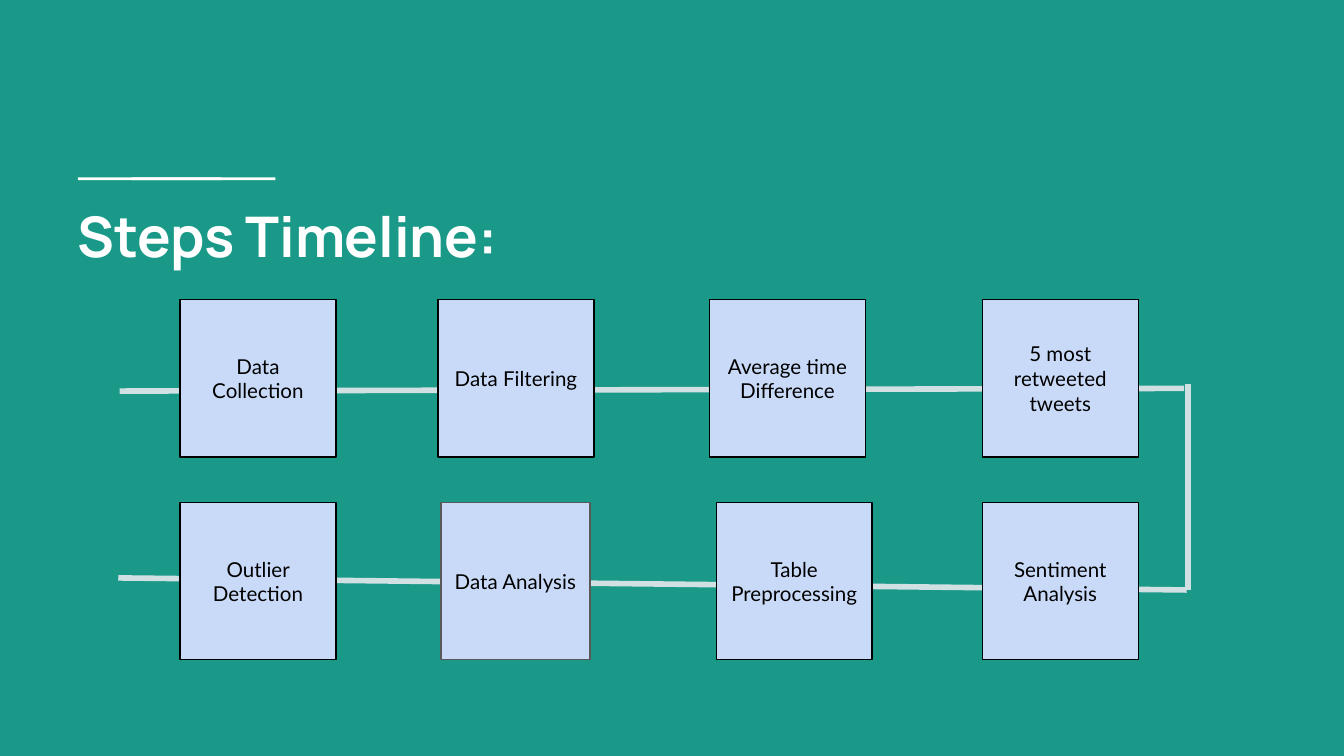
"""Build the Steps Timeline slide."""
from lxml import etree
from pptx import Presentation
from pptx.dml.color import RGBColor
from pptx.enum.shapes import MSO_CONNECTOR, MSO_SHAPE
from pptx.enum.text import MSO_ANCHOR, PP_ALIGN
from pptx.oxml.ns import qn
from pptx.util import Inches, Pt

RECTANGLE = MSO_SHAPE.RECTANGLE
STRAIGHT = MSO_CONNECTOR.STRAIGHT
TOP, MIDDLE = MSO_ANCHOR.TOP, MSO_ANCHOR.MIDDLE
LEFT, CENTER = PP_ALIGN.LEFT, PP_ALIGN.CENTER


def color(value):
    return RGBColor.from_string(value)


def add_line(x1, y1, x2, y2):
    line = slide.shapes.add_connector(
        STRAIGHT, Inches(x1), Inches(y1), Inches(x2), Inches(y2))
    line.line.color.rgb = color("D0E0E3")
    line.line.width = Pt(3)
    etree.SubElement(line._element.spPr, qn("a:effectLst"))


presentation = Presentation()
presentation.slide_width = Inches(10)
presentation.slide_height = Inches(10 * 9 / 16)
slide = presentation.slides.add_slide(presentation.slide_layouts[5])
slide.background.fill.solid()
slide.background.fill.fore_color.rgb = color("1A9988")

for left in (0.98, 0.58):
    bar = slide.shapes.add_shape(
        RECTANGLE, Inches(left), Inches(1.32), Inches(1.07), Inches(0.02))
    bar.shadow.inherit = False
    bar.fill.solid()
    bar.fill.fore_color.rgb = color("FFFFFF")
    bar.line.fill.background()

add_line(0.88, 4.3, 8.83, 4.39)
add_line(0.89, 2.91, 8.81, 2.89)

title = slide.shapes.title
title.left, title.top = Inches(0.48), Inches(1.4)
title.width, title.height = Inches(8.32), Inches(0.66)
title.text_frame.text = "Steps Timeline:"
title.text_frame.vertical_anchor = TOP
title.text_frame.margin_left = title.text_frame.margin_right = Inches(0.1)
title.text_frame.margin_top = title.text_frame.margin_bottom = Inches(0.1)
paragraph = title.text_frame.paragraphs[0]
paragraph.alignment = LEFT
paragraph.font.name = "Manrope"
paragraph.font.size = Pt(30)
paragraph.font.bold = True
paragraph.font.color.rgb = color("FFFFFF")

rows = [
    (2.23, [
        ("Data Collection", 1.34, 1.16, "000000"),
        ("Data Filtering", 3.26, 1.16, "000000"),
        ("Average time Difference", 5.28, 1.16, "000000"),
        ("5 most retweeted tweets", 7.31, 1.16, "000000"),
    ]),
    (3.74, [
        ("Outlier Detection", 1.34, 1.16, "000000"),
        ("Data Analysis", 3.28, 1.11, "595959"),
        ("Table Preprocessing", 5.33, 1.16, "000000"),
        ("Sentiment Analysis", 7.31, 1.16, "000000"),
    ]),
]
for top, steps in rows:
    for label, left, width, outline in steps:
        step = slide.shapes.add_shape(
            RECTANGLE, Inches(left), Inches(top), Inches(width), Inches(1.17))
        step.shadow.inherit = False
        step.fill.solid()
        step.fill.fore_color.rgb = color("C9DAF8")
        step.line.color.rgb = color(outline)
        step.line.width = Pt(0.75)
        frame = step.text_frame
        frame.text = label
        frame.word_wrap = True
        frame.vertical_anchor = MIDDLE
        frame.margin_left = frame.margin_right = Inches(0.1)
        frame.margin_top = frame.margin_bottom = Inches(0.1)
        paragraph = frame.paragraphs[0]
        paragraph.alignment = CENTER
        paragraph.font.name = "Lato"
        paragraph.font.size = Pt(11)
        paragraph.font.color.rgb = color("000000")

add_line(8.84, 2.86, 8.84, 4.39)

presentation.save("out.pptx")
